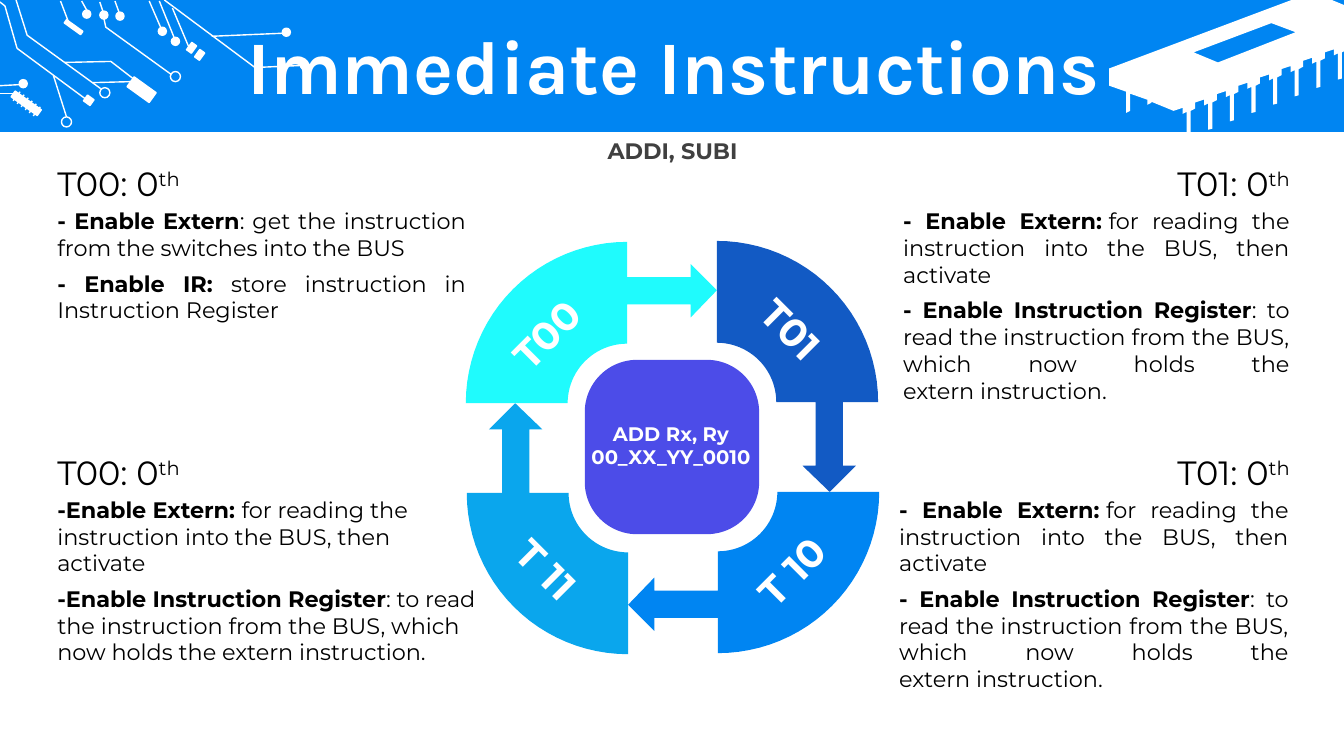
import math

from lxml import etree
from pptx import Presentation
from pptx.dml.color import RGBColor
from pptx.enum.shapes import MSO_CONNECTOR, MSO_SHAPE
from pptx.enum.text import MSO_ANCHOR, MSO_AUTO_SIZE, PP_ALIGN
from pptx.oxml.ns import qn
from pptx.util import Inches, Pt

RECT, OVAL, ROUNDED = MSO_SHAPE.RECTANGLE, MSO_SHAPE.OVAL, MSO_SHAPE.ROUNDED_RECTANGLE
STRAIGHT = MSO_CONNECTOR.STRAIGHT
TOP, MIDDLE = MSO_ANCHOR.TOP, MSO_ANCHOR.MIDDLE
LEFT, CENTER, RIGHT, JUSTIFY = PP_ALIGN.LEFT, PP_ALIGN.CENTER, PP_ALIGN.RIGHT, PP_ALIGN.JUSTIFY
FIXED, GROW = MSO_AUTO_SIZE.NONE, MSO_AUTO_SIZE.SHAPE_TO_FIT_TEXT

WHITE = RGBColor(0xFF, 0xFF, 0xFF)
BLACK = RGBColor(0x00, 0x00, 0x00)
GREY = RGBColor(0x40, 0x40, 0x40)
BLUE = RGBColor(0x00, 0x85, 0xF2)
NAVY = RGBColor(0x12, 0x5A, 0xC4)
SKY = RGBColor(0x0A, 0xA6, 0xED)
CYAN = RGBColor(0x1F, 0xFB, 0xFD)
VIOLET = RGBColor(0x00, 0x00, 0xDF)

BODY_FONT, TITLE_FONT = "Montserrat", "Karla"
NBSP = chr(160)  # no-break space, counts towards the width of a line
TILT = 35.7      # angle of the circuit parts

FETCH = [("- Enable Extern", ": get the instruction from the switches into the BUS"),
         ("- Enable IR: ", "store instruction in Instruction Register")]
READ = [(f"Enable Extern:{NBSP}",
         f"for reading the instruction into the BUS, then activate{NBSP}"),
        ("Enable Instruction Register", ": to read the instruction from the BUS, "
         f"which now holds the extern{NBSP}instruction.")]


def style(sp, fill=None, line=None):
    sp.shadow.inherit = False
    if fill is None:
        sp.fill.background()
    else:
        sp.fill.solid()
        sp.fill.fore_color.rgb = fill
    if line is None:
        sp.line.fill.background()
    else:
        sp.line.color.rgb = line
        sp.line.width = Pt(1)


def add_preset(s, kind, box, fill=None, line=None, rotation=0):
    sp = s.shapes.add_shape(kind, *map(Inches, box))
    sp.rotation = rotation
    style(sp, fill, line)
    return sp


def add_outline(s, contours, fill=None, line=None, close=True):
    contours = [[(Inches(x), Inches(y)) for x, y in c] for c in contours]
    builder = s.shapes.build_freeform(*contours[0][0])
    for i, points in enumerate(contours):
        if i:
            builder.move_to(*points[0])
        builder.add_line_segments(points[1:], close=close)
    style(builder.convert_to_shape(), fill, line)


def add_wire(s, x1, y1, x2, y2):
    c = s.shapes.add_connector(STRAIGHT, *map(Inches, (x1, y1, x2, y2)))
    c.line.color.rgb = WHITE
    c.line.width = Pt(1)
    etree.SubElement(c._element.spPr, qn("a:effectLst"))


def add_text(s, box, paragraphs, size, color, align=LEFT, anchor=TOP,
             bold=None, font=BODY_FONT, rotation=0, gap=0):
    """Each paragraph is a list of run texts."""
    sp = s.shapes.add_textbox(*map(Inches, box))
    sp.rotation = rotation
    tf = sp.text_frame
    tf.word_wrap = True
    tf.auto_size = GROW
    tf.vertical_anchor = anchor
    for i, runs in enumerate(paragraphs):
        p = tf.add_paragraph() if i else tf.paragraphs[0]
        p.alignment = align
        if i and gap:
            p.space_before = Pt(gap)
        for text in runs:
            p.add_run().text = text
        p.font.name, p.font.size, p.font.bold = font, Pt(size), bold
        p.font.color.rgb = color
    return tf


def add_circuit(s, left, top):
    # Solid parts
    for x, y, w, h in [(1.27, 0.83, 0.27, 0.12), (0.63, 0.25, 0.2, 0.04),
                       (0.84, 0.96, 0.08, 0.07), (1.87, 0.43, 0.06, 0.09),
                       (1.95, 0.5, 0.06, 0.09), (0.1, 0.99, 0.32, 0.07)]:
        add_preset(s, RECT, (left + x, top + y, w, h), WHITE, WHITE, TILT)
    # Solid and open terminals
    for x, y in [(2.98, 0.61), (2.8, 0.28), (0.82, 0.1), (0.99, 0.11), (1.15, 0.12),
                 (0.19, 0.79), (1.7, 0.37), (1.57, 0.27)]:
        add_preset(s, OVAL, (left + x, top + y, 0.08, 0.08), WHITE, WHITE)
    for x, y in [(1.69, 0.71), (0.99, 0.87), (0.61, 1.16)]:
        add_preset(s, OVAL, (left + x, top + y, 0.1, 0.1), line=WHITE)
    # Straight wires, then the legs of the small chip
    wires = [(0.6, 0.01, 0.68, 0.22), (0.81, 0.01, 0.86, 0.1), (0.99, 0.02, 1.02, 0.11),
             (1.14, 0.01, 1.18, 0.12), (1.48, 0.01, 1.61, 0.31), (1.58, 0.01, 1.73, 0.38),
             (2.1, 0.36, 2.8, 0.33), (1.71, 0.08, 1.87, 0.46), (0, 0.85, 0.19, 0.84),
             (0, 0.93, 0.14, 0.93), (0.53, 0.75, 0.66, 1.16), (0.92, 0.82, 1.3, 0.81)]
    legs = [(0.13 + 0.04 * i, 1 + 0.03 * i, 0.2 + 0.04 * i, 0.91 + 0.03 * i)
            for i in range(6)]
    for x1, y1, x2, y2 in wires + legs:
        add_wire(s, left + x1, top + y1, left + x2, top + y2)
    # Bent wires
    for bends in [[(1.63, 0), (2.53, 0.67), (2.99, 0.65)],
                  [(0.16, 0), (0.27, 0.35), (1, 0.88)],
                  [(0, 0.02), (0.05, 0.06), (0.17, 0.48), (0.86, 0.99)],
                  [(0.64, 0.62), (1.1, 0.61), (1.32, 0.78)],
                  [(1.03, 0.18), (1.05, 0.27), (1.7, 0.74)]]:
        add_outline(s, [[(left + x, top + y) for x, y in bends]], line=WHITE, close=False)


def add_chip(s, left, top):
    window = [(1.61, 0.23), (0.84, 0.52), (1.08, 0.62), (1.85, 0.32)]
    pin = [(0, 0), (0, 0.26), (-0.04, 0.27), (-0.04, 0.01),
           (-0.08, 0.03), (-0.08, -0.03), (-0.17, 0), (-0.17, 0.06)]
    pins = [(2.31 - 1.5 * i / 7 + x, 0.52 + 0.58 * i / 7 + y) for i in range(8) for x, y in pin]
    body = [(1.81, 0), (2.21, 0), (2.33, 0.05), (2.33, 0.51), *pins[:-1],
            (0.42, 1.01), (0.42, 1.02), (0.38, 1.04), (0.38, 0.99), (0.21, 0.93),
            (0.21, 1.1), (0.17, 1.12), (0.17, 0.91), (0, 0.85), (0, 0.68)]
    add_outline(s, [[(left + x, top + y) for x, y in c] for c in (window, body)], WHITE)


def add_header(s, left, top, width, height):
    add_preset(s, RECT, (left, top, width, height), BLUE)
    add_chip(s, left + width - 2.33, top)
    add_circuit(s, left, top)
    tf = add_text(s, (left + 0.35, top + 0.3, width - 0.67, 0.79), [["Immediate Instructions"]],
                  54, WHITE, CENTER, MIDDLE, True, TITLE_FONT)
    tf.auto_size = FIXED
    tf.paragraphs[0].line_spacing = 0.9
    add_text(s, (left + 4.1, top + height, 5.14, 0.37), [["ADDI, SUBI"]],
             16, GREY, CENTER, MIDDLE, True)


def arc(radius, start, end, steps=24):
    angles = [math.radians(start + (end - start) * i / steps) for i in range(steps + 1)]
    return [(-0.45 + radius * math.cos(a), -0.44 + radius * math.sin(a)) for a in angles]


def add_cycle(s, cx, cy):
    # Upper-left quarter with its arrow, measured from the centre
    arrow = [(-0.45, -1.69), (0.18, -1.69), (0.18, -1.82), (0.44, -1.56),
             (0.18, -1.29), (0.18, -1.42), (-0.45, -1.42)]
    quarter = arrow + arc(0.59, 270, 180) + arc(1.6, 180, 270)
    # Each stage is the quarter turned clockwise; the first is drawn last
    stages = [("T00", CYAN, -1.25, -1.13), ("T01", NAVY, 1.18, -1.18),
              ("T 10", BLUE, 1.18, 1.22), ("T 11", SKY, -1.25, 1.2)]
    for turns in (1, 2, 3, 0):
        points = quarter
        for _ in range(turns):
            points = [(-y, x) for x, y in points]
        add_outline(s, [[(cx + x, cy + y) for x, y in points]], stages[turns][1])
    for i, (label, _, x, y) in enumerate(stages):
        add_text(s, (cx + x - 0.55, cy + y - 0.28, 1.1, 0.57), [[label]], 28, WHITE,
                 CENTER, bold=True, rotation=45 if i % 2 else 315)
    # Centre
    sp = add_preset(s, ROUNDED, (cx - 0.87, cy - 0.87, 1.73, 1.73), VIOLET)
    sp.adjustments[0] = 0.3
    color = sp._element.spPr.find(f"{qn('a:solidFill')}/{qn('a:srgbClr')}")
    etree.SubElement(color, qn("a:alpha")).set("val", "70000")
    add_text(s, (cx - 1.07, cy - 0.31, 2.11, 0.57), [["ADD Rx, Ry"], ["00_XX_YY_0010"]],
             14, WHITE, CENTER, MIDDLE, True)


def add_panel(s, heading_left, left, top, width, height, heading, steps, heading_align, align):
    tf = add_text(s, (heading_left, top, 4.15, 0.5), [[heading, "th"]], 24, BLACK,
                  heading_align, MIDDLE)
    tf.paragraphs[0].runs[1]._r.get_or_add_rPr().set("baseline", "30000")
    tf = add_text(s, (left, top + 0.44, width, height), steps, 16, BLACK, align, gap=6)
    for p in tf.paragraphs:
        p.runs[0].font.bold = True


def main():
    prs = Presentation()
    prs.slide_width, prs.slide_height = Inches(13.33), Inches(7.5)
    s = prs.slides.add_slide(prs.slide_layouts[6])
    add_header(s, 0, 0, 13.33, 1.31)
    add_cycle(s, 6.67, 4.44)
    dashed = [("- " + name, text) for name, text in READ]
    tight = [("-" + name, text) for name, text in READ]
    add_panel(s, 0.47, 0.47, 1.57, 4.25, 1.26, "T00: 0", FETCH, LEFT, JUSTIFY)
    add_panel(s, 8.74, 8.86, 1.57, 4.03, 2.07, "T01: 0", dashed, RIGHT, JUSTIFY)
    add_panel(s, 0.47, 0.47, 4.43, 4.45, 1.8, "T00: 0", tight, LEFT, LEFT)
    add_panel(s, 8.74, 8.82, 4.43, 4.06, 2.07, "T01: 0", dashed, RIGHT, JUSTIFY)
    prs.save("out.pptx")


if __name__ == "__main__":
    main()
